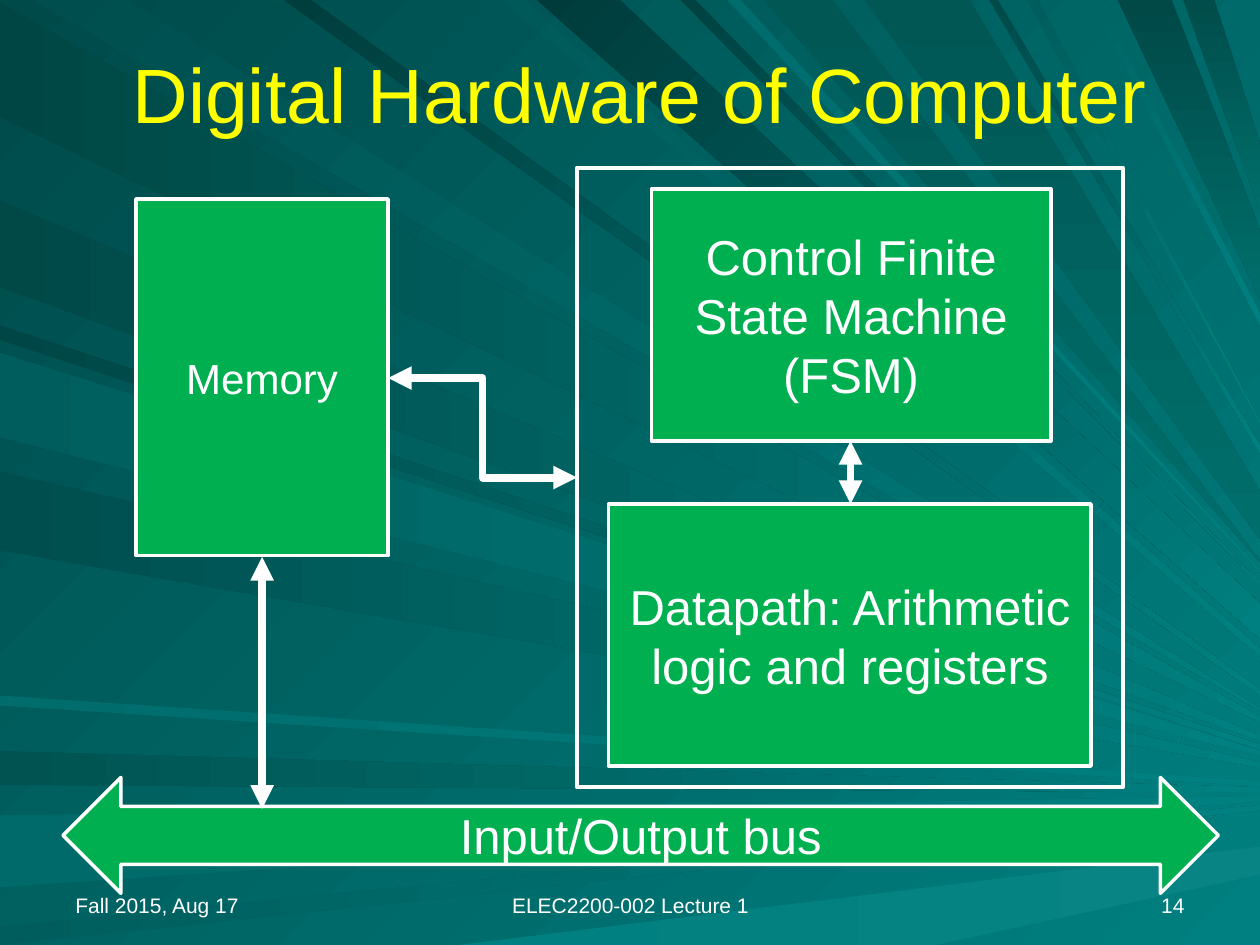
from pptx import Presentation
from pptx.dml.color import RGBColor
from pptx.enum.shapes import MSO_CONNECTOR, MSO_SHAPE
from pptx.enum.text import MSO_ANCHOR, PP_ALIGN
from pptx.oxml.ns import qn
from pptx.util import Pt
from lxml.etree import SubElement

PX = 9144  # EMU in one px, 100 px to the inch
WIDE, HIGH = 1000, 750
WHITE, GREEN, YELLOW = "FFFFFF", "00B050", "FFFF00"
TEAL, DEEP = "008080", "006E6B"

# Rays from the left edge: first colour, top and bottom of the wide end
LEFT = [
    ("004644", 2, 93), ("004947", 159, 228), ("004646", 258, 270),
    ("004E4E", 374, 437), ("006C6C", 552, 560), ("005351", 596, 623),
    ("006969", 647, 704), ("005D5D", 735, 750), ("005D5D", 280, 347),
]
# Rays from the top edge: first colour, wide end, tip and its depth
TOP = [
    ("004E4E", 26, 101, 562, 2), ("003E3E", 225, 247, 547, 5),
    ("005959", 398, 416, 515, 6), ("003B3B", 426, 492, 479, 28),
    ("004242", 540, 552, 463, 1), ("006C6C", 577, 588, 453, 1),
    ("004A4A", 785, 792, 354, 6), ("005D5D", 815, 824, 335, 1),
    ("006565", 865, 872, 249, 9),
]
# Rays from the top edge that darken upwards
STEEP = [
    ("005754", 606, 661, 445, 1), ("005754", 686, 770, 390, 38),
    ("004947", 887, 930, 183, 54), ("004D4B", 939, 964, 114, 53),
]


def rgb(code):
    return RGBColor.from_string(code)


def emu(*sizes):
    return [size * PX for size in sizes]


def blend(fill, first, last, angle):
    """Fill with a gradient whose angle runs clockwise."""
    fill.gradient()
    fill.gradient_angle = 360 - angle
    for stop, code in zip(fill.gradient_stops, (first, last)):
        stop.color.rgb = rgb(code)


def ray(slide, points, first, last=TEAL, angle=0):
    pen = slide.shapes.build_freeform(*points[0], scale=PX)
    pen.add_line_segments(points[1:], close=True)
    shape = pen.convert_to_shape()
    shape.shadow.inherit = False
    shape.line.fill.background()
    blend(shape.fill, first, last, angle)


def backdrop(slide):
    blend(slide.background.fill, "004A4A", TEAL, 45)
    for first, top, low in LEFT:
        tip = 565 + (top + low) // 20
        ray(slide, [(0, top), (WIDE, tip), (WIDE, tip + 4), (0, low)], first)
    for rays, last, angle in [(TOP, TEAL, 45), (STEEP, DEEP, 90)]:
        for first, left, right, tip, depth in rays:
            points = [(left, 0), (WIDE, tip + depth), (WIDE, tip), (right, 0)]
            ray(slide, points, first, last, angle)
    # Pale wedge at the foot
    ray(slide, [(364, HIGH), (WIDE, 672), (WIDE, 694), (742, HIGH)], TEAL, "088484")


def write(shape, text, size=28, color=WHITE, align=PP_ALIGN.CENTER,
          anchor=MSO_ANCHOR.MIDDLE):
    frame = shape.text_frame
    frame.word_wrap = True
    frame.vertical_anchor = anchor
    para = frame.paragraphs[0]
    para.alignment = align
    run = para.add_run()
    run.text = text
    run.font.name = "Arial"
    run.font.size = Pt(size)
    run.font.color.rgb = rgb(color)


def label(slide, at, text, **style):
    write(slide.shapes.add_textbox(*emu(*at)), text, **style)


def block(slide, at, text="", kind=MSO_SHAPE.RECTANGLE, fill=GREEN, width=2, **style):
    shape = slide.shapes.add_shape(kind, *emu(*at))
    shape.shadow.inherit = False
    if fill:
        shape.fill.solid()
        shape.fill.fore_color.rgb = rgb(fill)
    else:
        shape.fill.background()
    shape.line.color.rgb = rgb(WHITE)
    shape.line.width = Pt(width)
    if text:
        write(shape, text, **style)


def arrow(slide, start, end, kind=MSO_CONNECTOR.STRAIGHT):
    link = slide.shapes.add_connector(kind, *emu(*start, *end))
    link.line.color.rgb = rgb(WHITE)
    link.line.width = Pt(4.5)
    props = link._element.spPr
    line = props.find(qn("a:ln"))
    for tag in ("a:headEnd", "a:tailEnd"):
        SubElement(line, qn(tag), type="triangle")
    SubElement(props, qn("a:effectLst"))


def main():
    deck = Presentation()
    deck.slide_width, deck.slide_height = emu(WIDE, HIGH)
    slide = deck.slides.add_slide(deck.slide_layouts[6])
    backdrop(slide)

    # Processor frame, title and footer
    block(slide, (458, 133, 433, 492), fill=None, width=2.25)
    label(slide, (58, 25, 900, 97), "Digital Hardware of Computer", size=44, color=YELLOW)
    for left, width, text, align in [
        (50, 233, "Fall 2015, Aug 17", PP_ALIGN.LEFT),
        (342, 317, "ELEC2200-002 Lecture 1", PP_ALIGN.CENTER),
        (717, 233, "14", PP_ALIGN.RIGHT),
    ]:
        label(slide, (left, 683, width, 50), text, size=12, align=align,
              anchor=MSO_ANCHOR.BOTTOM)

    # Hardware units
    block(slide, (108, 158, 200, 283), "Memory", size=24)
    block(slide, (517, 150, 317, 200), "Control Finite State Machine (FSM)")
    block(slide, (483, 400, 383, 208), "Datapath: Arithmetic logic and registers")
    block(slide, (50, 617, 917, 92), "Input/Output bus", kind=MSO_SHAPE.LEFT_RIGHT_ARROW)

    # Links between units
    arrow(slide, (308, 300), (458, 379), kind=MSO_CONNECTOR.ELBOW)
    arrow(slide, (675, 350), (675, 400))
    arrow(slide, (208, 442), (208, 642))

    deck.save("out.pptx")


if __name__ == "__main__":
    main()
